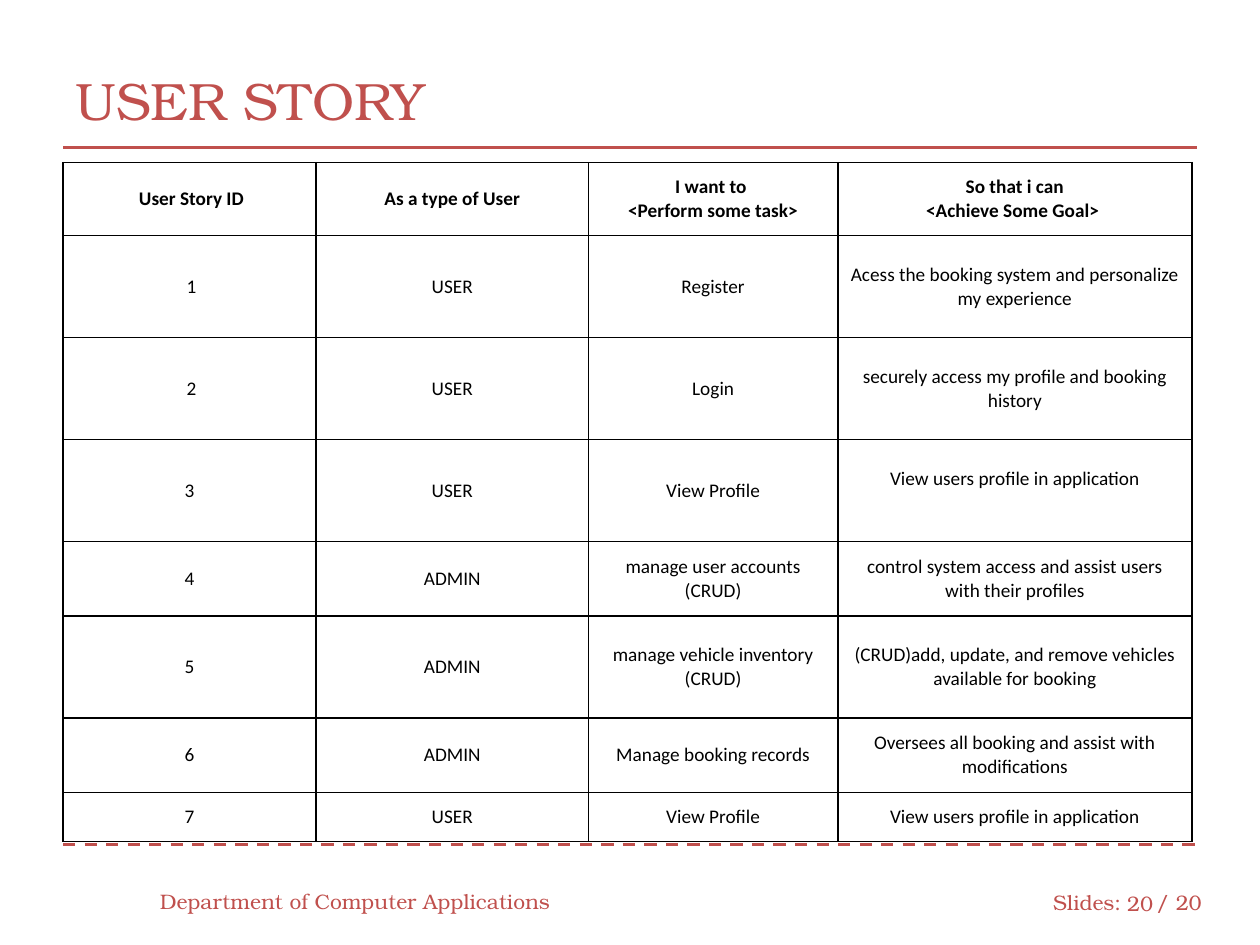
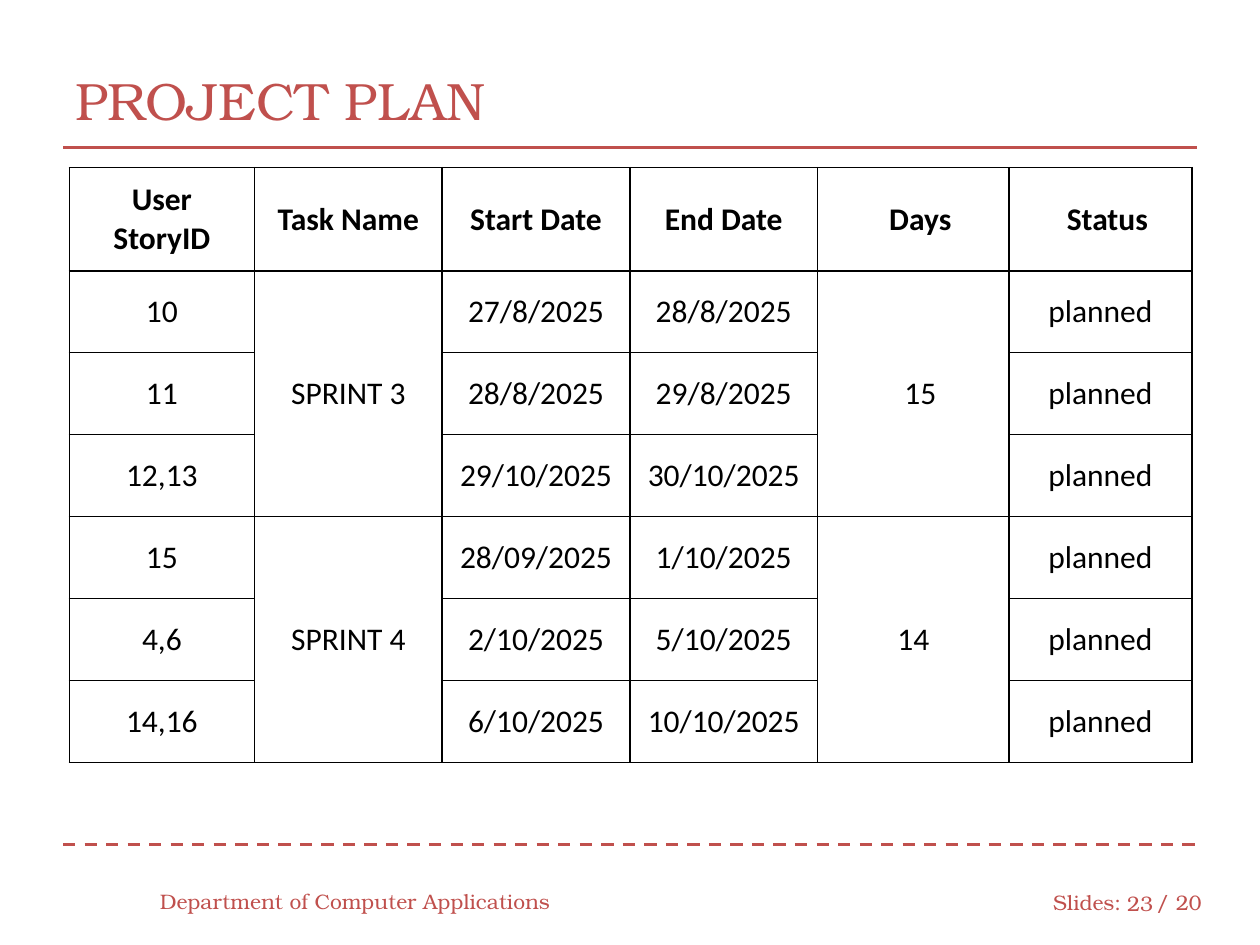
from lxml.etree import SubElement
from pptx import Presentation
from pptx.dml.color import RGBColor
from pptx.enum.dml import MSO_LINE
from pptx.enum.shapes import MSO_CONNECTOR
from pptx.enum.text import MSO_ANCHOR, PP_ALIGN
from pptx.oxml.ns import qn
from pptx.util import Inches, Pt

ACCENT, BLACK, WHITE = "C0504D", "000000", "FFFFFF"
HEADING_FONT, TABLE_FONT = "TeX Gyre Bonum", "Calibri"
CELL_MARGIN = 0.1
BORDER_WIDTH = 1

USER_STORIES = [
    ["User Story ID", "As a type of User", "I want to \n<Perform some task>",
     "So that i can\n<Achieve Some Goal> "],
    ["1", "USER", "Register", "Acess the booking system and personalize my experience"],
    ["2", "USER", "Login", "securely access my profile and booking history"],
    ["3", "USER", "View Profile", "View users profile in application"],
    ["4", "ADMIN", "manage user accounts (CRUD)",
     "control system access and assist users with their profiles"],
    ["5", "ADMIN", "manage vehicle inventory (CRUD)",
     "(CRUD)add, update, and remove vehicles available for booking"],
    ["6", "ADMIN", "Manage booking records",
     "Oversees all booking and assist with modifications"],
    ["7", "USER", "View Profile", "View users profile in application"],
]

PLAN_HEADER = ["User\nStoryID", "Task Name", "Start Date", "End Date", "Days", "Status"]
SPRINTS = [
    ("SPRINT 3", "15", [("10", "27/8/2025", "28/8/2025"),
                        ("11", "28/8/2025", "29/8/2025"),
                        ("12,13", "29/10/2025", "30/10/2025")]),
    ("SPRINT 4", "14", [("15", "28/09/2025", "1/10/2025"),
                        ("4,6", "2/10/2025", "5/10/2025"),
                        ("14,16", "6/10/2025", "10/10/2025")]),
]


def color(hex_value):
    return RGBColor.from_string(hex_value)


def format_paragraphs(text_frame, alignment, **font_values):
    """Apply one alignment and one set of font values to all the text."""
    hex_value = font_values.pop("hex_value")
    for paragraph in text_frame.paragraphs:
        paragraph.alignment = alignment
        for run in paragraph.runs:
            run.font.color.rgb = color(hex_value)
            for name, value in font_values.items():
                setattr(run.font, name, value)


def add_label(slide, text, left, top, width, height=0.4, size=12, alignment=PP_ALIGN.LEFT):
    label = slide.shapes.add_textbox(Inches(left), Inches(top), Inches(width), Inches(height))
    text_frame = label.text_frame
    text_frame.word_wrap = True
    text_frame.vertical_anchor = MSO_ANCHOR.MIDDLE
    text_frame.text = text
    format_paragraphs(text_frame, alignment, name=HEADING_FONT, size=Pt(size),
                      hex_value=ACCENT)


def add_rule(slide, top, dash_style=MSO_LINE.SOLID):
    rule = slide.shapes.add_connector(MSO_CONNECTOR.STRAIGHT, Inches(0.5), Inches(top),
                                      Inches(9.5), Inches(top))
    rule.line.color.rgb = color(ACCENT)
    rule.line.width = Pt(1.75)
    rule.line.dash_style = dash_style
    SubElement(rule.element.spPr, qn("a:effectLst"))


def add_framed_slide(presentation, title, number):
    """Add a slide with the shared title, rules and footer."""
    slide = presentation.slides.add_slide(presentation.slide_layouts[6])
    add_rule(slide, 6.7, MSO_LINE.DASH)
    add_rule(slide, 1.17)
    add_label(slide, title, 0.5, 0.33, 9, 0.92, size=30)
    add_label(slide, "Department of Computer Applications", 1.17, 6.95, 3.33)
    add_label(slide, "Slides:", 8.26, 6.96, 0.75)
    add_label(slide, number, 8.83, 6.97, 0.42, alignment=PP_ALIGN.RIGHT)
    add_label(slide, "/ 20", 9.08, 6.96, 0.58)
    return slide


def add_borders(cell):
    properties = cell._tc.get_or_add_tcPr()
    for side in ("lnL", "lnR", "lnT", "lnB"):
        border = SubElement(properties, qn(f"a:{side}"), w=str(Pt(BORDER_WIDTH)))
        fill = SubElement(border, qn("a:solidFill"))
        SubElement(fill, qn("a:srgbClr"), val=BLACK)


def format_cell(cell, text, size, bold):
    add_borders(cell)
    cell.fill.solid()
    cell.fill.fore_color.rgb = color(WHITE)
    cell.vertical_anchor = MSO_ANCHOR.MIDDLE
    for side in ("left", "right", "top", "bottom"):
        setattr(cell, f"margin_{side}", Inches(CELL_MARGIN))
    cell.text = text
    format_paragraphs(cell.text_frame, PP_ALIGN.CENTER, name=TABLE_FONT, size=Pt(size),
                      bold=bold, hex_value=BLACK)


def add_grid(slide, rows, left, top, widths, heights, size):
    """Add a plain bordered table whose first row is bold."""
    frame = slide.shapes.add_table(len(rows), len(widths), Inches(left), Inches(top),
                                   Inches(sum(widths)), Inches(sum(heights)))
    table = frame.table
    table.first_row = table.horz_banding = False
    for column, width in zip(table.columns, widths):
        column.width = Inches(width)
    for row_index, (values, height) in enumerate(zip(rows, heights)):
        table.rows[row_index].height = Inches(height)
        for column_index, text in enumerate(values):
            format_cell(table.cell(row_index, column_index), text, size, row_index == 0)
    return table


def indent_cells(table, indents):
    """Widen the left margin of cells, given as {(row, column): inches}."""
    for position, indent in indents.items():
        table.cell(*position).margin_left = Inches(CELL_MARGIN + indent)


def add_user_story_slide(presentation):
    slide = add_framed_slide(presentation, "USER STORY", "20")
    table = add_grid(slide, USER_STORIES, 0.5, 1.29, [2.01, 2.16, 1.98, 2.81],
                     [0.58, 0.81, 0.81, 0.81, 0.59, 0.81, 0.59, 0.39], size=11)
    indent_cells(table, {(row, 0): 0.03 for row in range(3)})
    table.cell(3, 3).margin_bottom = Inches(CELL_MARGIN + 0.19)


def add_project_plan_slide(presentation):
    slide = add_framed_slide(presentation, "PROJECT PLAN", "23")
    rows = [PLAN_HEADER]
    merges = []
    for sprint, days, stories in SPRINTS:
        first = len(rows)
        for index, (story, start, end) in enumerate(stories):
            task, length = (sprint, days) if index == 0 else ("", "")
            rows.append([story, task, start, end, length, "planned"])
        merges += [(first, len(rows) - 1, column) for column in (1, 4)]
    table = add_grid(slide, rows, 0.55, 1.33, [1.47, 1.49, 1.49, 1.49, 1.52, 1.45],
                     [0.82] + [0.65] * (len(rows) - 1), size=18)
    for first, last, column in merges:
        table.cell(first, column).merge(table.cell(last, column))
    indent_cells(table, {(0, 4): 0.11, (0, 5): 0.11, (1, 4): 0.11})


def main():
    presentation = Presentation()
    presentation.slide_width = Inches(10)
    presentation.slide_height = Inches(7.5)
    add_user_story_slide(presentation)
    add_project_plan_slide(presentation)
    presentation.save("out.pptx")


if __name__ == "__main__":
    main()
